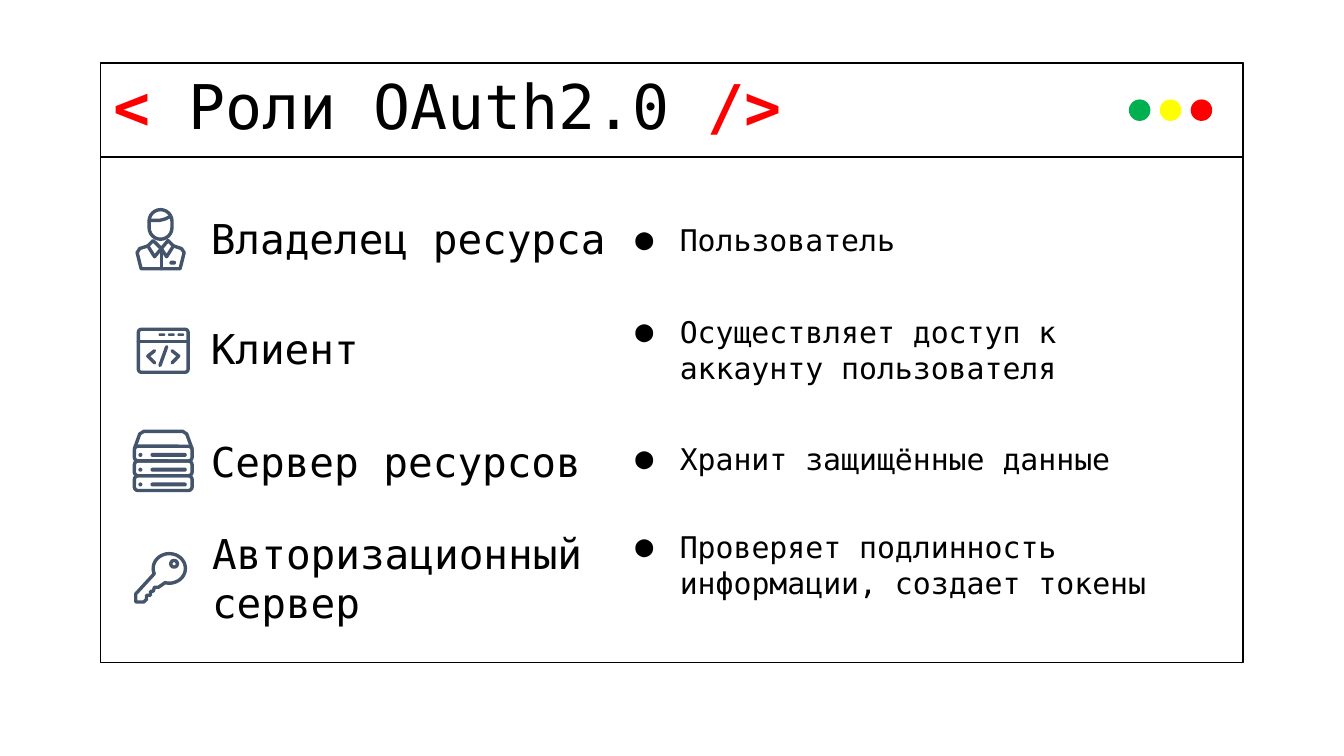
from math import cos, radians, sin

from lxml import etree
from pptx import Presentation
from pptx.dml.color import RGBColor
from pptx.enum.shapes import MSO_SHAPE
from pptx.enum.text import MSO_ANCHOR, PP_ALIGN
from pptx.oxml.ns import qn
from pptx.util import Inches, Pt

RECTANGLE, ROUNDED, OVAL = MSO_SHAPE.RECTANGLE, MSO_SHAPE.ROUNDED_RECTANGLE, MSO_SHAPE.OVAL
TOP, MIDDLE, LEFT = MSO_ANCHOR.TOP, MSO_ANCHOR.MIDDLE, PP_ALIGN.LEFT
FONT = "DejaVu Sans Mono"
BLACK, WHITE, RED, SLATE = "000000", "FFFFFF", "FF0000", "44546A"
STROKE = 1.8


def paint(shape, fill=None, line=None, width=0.75):
    shape.shadow.inherit = False
    if fill:
        shape.fill.solid()
        shape.fill.fore_color.rgb = RGBColor.from_string(fill)
    else:
        shape.fill.background()
    if line:
        shape.line.color.rgb = RGBColor.from_string(line)
        shape.line.width = Pt(width)
    else:
        shape.line.fill.background()


def add_text(left, top, width, height, runs, size, anchor):
    box = slide.shapes.add_textbox(Inches(left), Inches(top), Inches(width), Inches(height))
    frame = box.text_frame
    frame.word_wrap = True
    frame.vertical_anchor = anchor
    frame.margin_left = frame.margin_right = Inches(0.1)
    frame.margin_top = frame.margin_bottom = Inches(0.1)
    paragraph = frame.paragraphs[0]
    paragraph.alignment = LEFT
    paragraph.font.name = FONT
    paragraph.font.size = Pt(size)
    for text, color, bold in runs:
        run = paragraph.add_run()
        run.text = text
        run.font.bold = bold
        run.font.color.rgb = RGBColor.from_string(color)
    return paragraph


presentation = Presentation()
presentation.slide_width = Inches(10)
presentation.slide_height = Inches(10 * 9 / 16)
slide = presentation.slides.add_slide(presentation.slide_layouts[6])

for height in (4.46, 0.7):
    panel = slide.shapes.add_shape(RECTANGLE, Inches(0.75), Inches(0.47), Inches(8.5), Inches(height))
    paint(panel, WHITE, BLACK)

title_runs = [("< ", RED, True), ("Роли OAuth2.0 ", BLACK, False), ("/>", RED, True)]
title = add_text(0.75, 0.47, 8.5, 0.7, title_runs, 33, TOP)
title.line_spacing = 0.9

for index, color in enumerate(("00B050", "FFFF00", RED)):
    button = slide.shapes.add_shape(
        OVAL, Inches(8.4 + 0.23 * index), Inches(0.74), Inches(0.16), Inches(0.16))
    paint(button, color)

roles = [
    ("Владелец ресурса", 1.47, 1.52, 3.21, "Пользователь", 1.53, 4.79),
    ("Клиент", 1.47, 2.34, 2.8, "Осуществляет доступ к аккаунту пользователя", 2.35, 4.34),
    ("Сервер ресурсов", 1.47, 3.18, 3.48, "Хранит защищённые данные", 3.16, 4),
    ("Авторизационный сервер", 1.48, 4.05, 3.2,
     "Проверяет подлинность информации, создает токены", 3.95, 4.79),
]
for role, left, top, width, duty, duty_top, duty_width in roles:
    add_text(left, top, width, 0.5, [(role, BLACK, False)], 22, MIDDLE)
    paragraph = add_text(4.46, duty_top, duty_width, 0.5, [(duty, BLACK, False)], 16, MIDDLE)
    properties = paragraph._p.get_or_add_pPr()
    properties.set("marL", str(Inches(0.5)))
    properties.set("indent", str(Inches(-0.33)))
    bullet_color = etree.Element(qn("a:buClr"))
    etree.SubElement(bullet_color, qn("a:srgbClr"), val=BLACK)
    bullet_size = etree.Element(qn("a:buSzPts"), val="1600")
    bullet_font = etree.Element(qn("a:buFont"), typeface=FONT)
    bullet = etree.Element(qn("a:buChar"), char="●")
    for element in (bullet_color, bullet_size, bullet_font, bullet):
        properties.insert_element_before(element, "a:tabLst", "a:defRPr", "a:extLst")

key_bow = [(1.26 + 0.12 * cos(radians(angle)), 4.23 + 0.11 * sin(radians(angle)))
           for angle in range(159, 474, 9)]
key_shaft = [(1.18, 4.37), (1.15, 4.37), (1.14, 4.4), (1.12, 4.4), (1.12, 4.43), (1.09, 4.43),
             (1.09, 4.46), (1.07, 4.48), (1.01, 4.48), (1.01, 4.42)]
icon_strokes = [
    ([(1.11, 1.64), (1.19, 1.64), (1.23, 1.63), (1.27, 1.61)], False),
    ([(1.1, 1.83), (1.04, 1.85), (1.02, 1.88), (1.05, 2), (1.34, 2), (1.37, 1.88),
      (1.35, 1.85), (1.29, 1.83)], False),
    ([(1.1, 1.83), (1.15, 1.91), (1.2, 1.85), (1.24, 1.91), (1.29, 1.83), (1.25, 1.79),
      (1.2, 1.85), (1.14, 1.79)], True),
    ([(1.2, 1.85), (1.2, 2)], False),
    ([(1.03, 2.54), (1.4, 2.54)], False),
    ([(1.15, 2.61), (1.1, 2.65), (1.15, 2.7)], False),
    ([(1.28, 2.61), (1.33, 2.65), (1.28, 2.7)], False),
    ([(1.24, 2.58), (1.19, 2.72)], False),
    ([(1, 3.34), (1.04, 3.23), (1.07, 3.21), (1.36, 3.21), (1.39, 3.23), (1.43, 3.34)], False),
    (key_bow + key_shaft, True),
]
for points, closed in icon_strokes:
    corners = [(Inches(x), Inches(y)) for x, y in points]
    builder = slide.shapes.build_freeform(*corners[0])
    builder.add_line_segments(corners[1:], close=closed)
    stroke = builder.convert_to_shape()
    paint(stroke, None, SLATE, STROKE)
    line = stroke.line._get_or_add_ln()
    line.set("cap", "rnd")
    etree.SubElement(line, qn("a:round"))

icon_outlines = [
    (ROUNDED, 1.11, 1.56, 0.17, 0.22, 0.5),
    (ROUNDED, 1.03, 2.45, 0.37, 0.32, 0.07),
    (OVAL, 1.27, 4.17, 0.05, 0.05, None),
]
icon_outlines += [(ROUNDED, 1, 3.32 + 0.11 * row, 0.43, 0.11, 0.25) for row in range(3)]
for kind, left, top, width, height, corner in icon_outlines:
    outline = slide.shapes.add_shape(kind, Inches(left), Inches(top), Inches(width), Inches(height))
    if corner:
        outline.adjustments[0] = corner
    paint(outline, None, SLATE, STROKE)

icon_marks = [(1.26, 1.94, 0.05, 0.03)]
icon_marks += [(1.18 + 0.07 * column, 2.48, 0.05, 0.02) for column in range(3)]
for row in range(3):
    icon_marks += [(left, 3.37 + 0.11 * row, width, 0.03) for left, width in ((1.03, 0.03), (1.12, 0.27))]
for left, top, width, height in icon_marks:
    mark = slide.shapes.add_shape(ROUNDED, Inches(left), Inches(top), Inches(width), Inches(height))
    mark.adjustments[0] = 0.5
    paint(mark, SLATE)

presentation.save("out.pptx")
